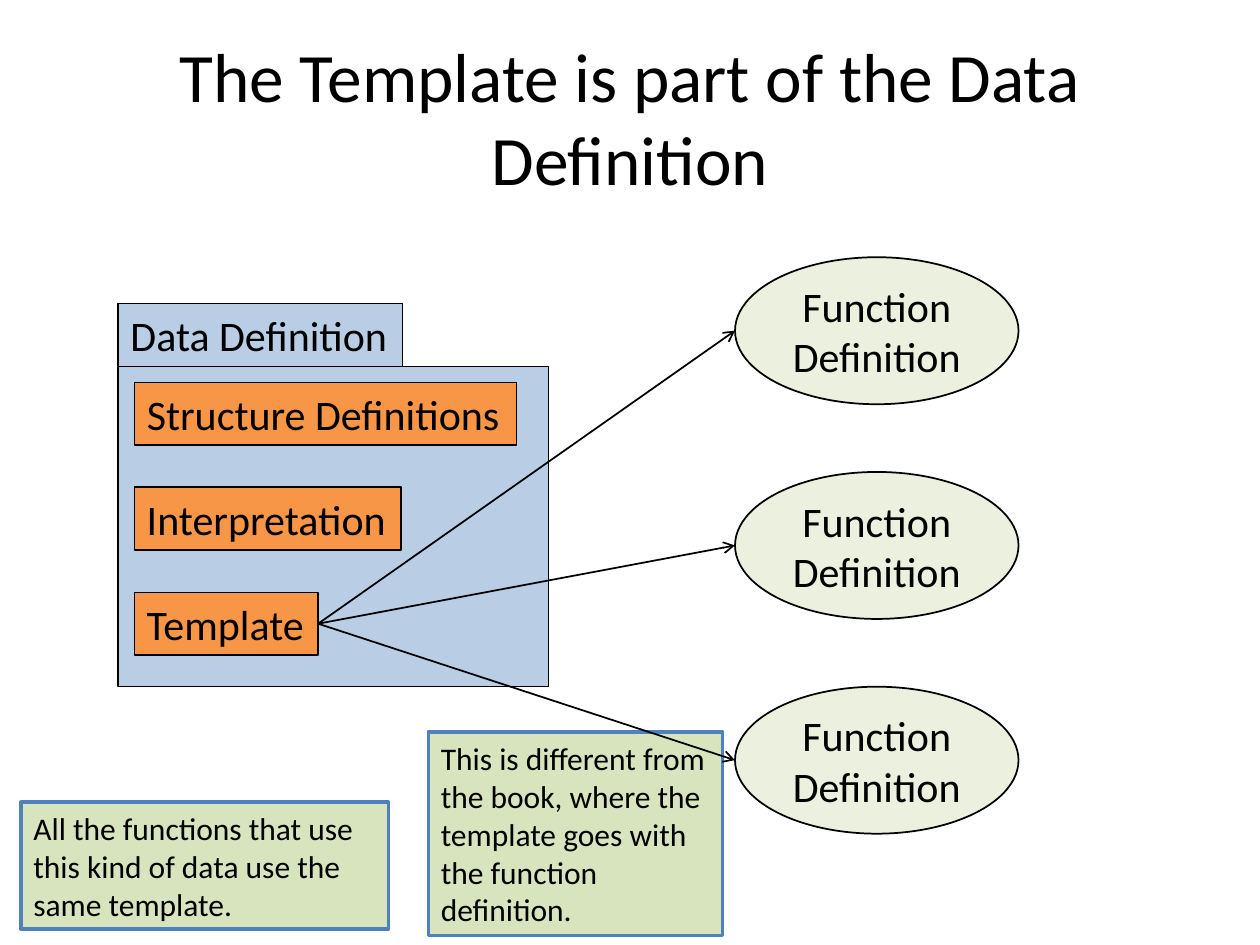
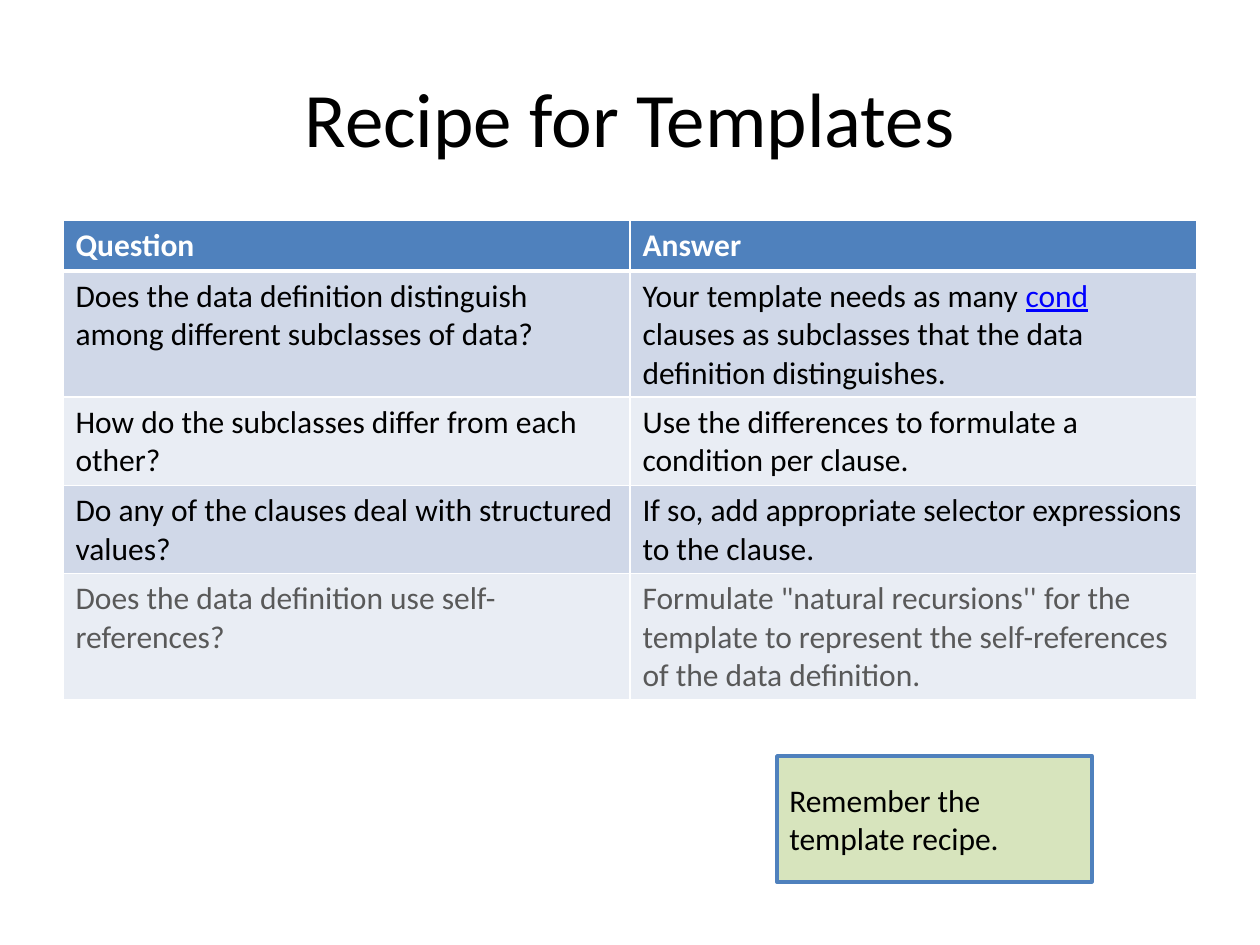
from dataclasses import dataclass

from lxml import etree
from pptx import Presentation
from pptx.dml.color import RGBColor
from pptx.enum.shapes import MSO_CONNECTOR, MSO_SHAPE
from pptx.enum.text import MSO_ANCHOR, MSO_AUTO_SIZE, PP_ALIGN
from pptx.oxml.ns import qn
from pptx.util import Inches, Pt

RECTANGLE, ELLIPSE = MSO_SHAPE.RECTANGLE, MSO_SHAPE.OVAL
STRAIGHT = MSO_CONNECTOR.STRAIGHT
FIT_SHAPE = MSO_AUTO_SIZE.SHAPE_TO_FIT_TEXT
LEFT, CENTER = PP_ALIGN.LEFT, PP_ALIGN.CENTER
TOP, MIDDLE = MSO_ANCHOR.TOP, MSO_ANCHOR.MIDDLE
RIGHT_SIDE = 3

SLIDE_WIDTH, SLIDE_HEIGHT = Inches(10), Inches(7.5)
COLUMNS, ROWS = 120, 90


@dataclass(frozen=True)
class Theme:
    font: str = "Calibri"
    black: str = "000000"
    white: str = "FFFFFF"
    muted: str = "595959"
    keyword: str = "0000FF"
    accent: str = "4F81BD"
    note: str = "D7E4BD"
    function: str = "EBF1DE"
    data: str = "B9CDE5"
    component: str = "F79646"
    bands: tuple = ("D0D8E8", "E9EDF4")
    title_size: float = 44
    long_title_size: float = 39.6
    label_size: float = 24
    body_size: float = 18
    thin: float = 0.75
    normal: float = 1
    thick: float = 2
    header_rule: float = 3


THEME = Theme()


@dataclass(frozen=True)
class Box:
    """A rectangle in grid columns and rows."""
    left: float
    top: float
    width: float
    height: float

    def inner(self, column, row, width, height):
        return Box(self.left + column, self.top + row, width, height)

    def lengths(self):
        column, row = SLIDE_WIDTH / COLUMNS, SLIDE_HEIGHT / ROWS
        return (round(self.left * column), round(self.top * row),
                round(self.width * column), round(self.height * row))


TITLE_BOX = Box(6, 3.6, 108, 15)


def rgb(color):
    return RGBColor.from_string(color)


def write(text_frame, text, size, color=THEME.black, align=LEFT, bold=False):
    """Fill the frame; a piece between bars is shown as a keyword."""
    paragraph = text_frame.paragraphs[0]
    paragraph.alignment = align
    for index, piece in enumerate(text.split("|")):
        run = paragraph.add_run()
        run.text = piece
        is_keyword = index % 2 == 1
        run.font.name = THEME.font
        run.font.size = Pt(size)
        run.font.bold = bold
        run.font.underline = is_keyword
        run.font.color.rgb = rgb(THEME.keyword if is_keyword else color)


def add_title(slide, text, size=THEME.title_size):
    text_frame = slide.shapes.add_textbox(*TITLE_BOX.lengths()).text_frame
    text_frame.word_wrap = True
    text_frame.vertical_anchor = MIDDLE
    write(text_frame, text, size, align=CENTER)


def add_block(slide, box, fill, line=THEME.black, line_width=THEME.normal, kind=RECTANGLE):
    shape = slide.shapes.add_shape(kind, *box.lengths())
    shape.shadow.inherit = False
    shape.fill.solid()
    shape.fill.fore_color.rgb = rgb(fill)
    shape.line.color.rgb = rgb(line)
    shape.line.width = Pt(line_width)
    return shape


def add_note(slide, box, text):
    note = add_block(slide, box, THEME.note, THEME.accent, THEME.thick)
    note.text_frame.vertical_anchor = MIDDLE
    write(note.text_frame, text, THEME.body_size)


def add_label(slide, box, text, fill):
    """Add a one-line box that fits its text."""
    label = add_block(slide, box, fill, line_width=THEME.thin)
    text_frame = label.text_frame
    text_frame.word_wrap = False
    text_frame.auto_size = FIT_SHAPE
    text_frame.vertical_anchor = TOP
    write(text_frame, text, THEME.label_size)
    return label


def add_functions(slide, box, count):
    """Stack equal ellipses from the top to the bottom of the box."""
    height = 14
    pitch = (box.height - height) / (count - 1)
    ellipses = []
    for index in range(count):
        place = box.inner(0, index * pitch, box.width, height)
        ellipse = add_block(slide, place, THEME.function, kind=ELLIPSE)
        ellipse.text_frame.vertical_anchor = MIDDLE
        write(ellipse.text_frame, "Function Definition", THEME.label_size, align=CENTER)
        ellipses.append(ellipse)
    return ellipses


def add_data_definition(slide, box, components):
    """Draw a tabbed panel with its components and return the last one."""
    label_height, pitch = 6, 10
    add_block(slide, box.inner(0, label_height, box.width, box.height - label_height), THEME.data)
    add_label(slide, box.inner(0, 0, 27.1, label_height), "Data Definition", THEME.data)
    for index, (text, width) in enumerate(components):
        place = box.inner(1.55, 7.5 + index * pitch, width, label_height)
        label = add_label(slide, place, text, THEME.component)
    return label


def add_arrow(slide, source, target):
    end = target.left, target.top + target.height // 2
    arrow = slide.shapes.add_connector(STRAIGHT, *end, *end)
    arrow.begin_connect(source, RIGHT_SIDE)
    arrow.line.color.rgb = rgb(THEME.black)
    arrow.line.width = Pt(THEME.normal)
    properties = arrow._element.spPr
    etree.SubElement(properties.find(qn("a:ln")), qn("a:tailEnd"), type="arrow")
    etree.SubElement(properties, qn("a:effectLst"))


def set_borders(cell, bottom_width):
    properties = cell._tc.get_or_add_tcPr()
    widths = {"lnL": THEME.normal, "lnR": THEME.normal, "lnT": THEME.normal, "lnB": bottom_width}
    for side, width in widths.items():
        line = etree.SubElement(properties, qn(f"a:{side}"), w=str(Pt(width)))
        fill = etree.SubElement(line, qn("a:solidFill"))
        etree.SubElement(fill, qn("a:srgbClr"), val=THEME.white)


def add_recipe_table(slide, box, header, recipe):
    """Build the table; each recipe row is (question, answer, lines, colour)."""
    rows = [(*header, 1, THEME.white)] + recipe
    table = slide.shapes.add_table(len(rows), len(header), *box.lengths()).table
    for row_index, (*texts, lines, color) in enumerate(rows):
        is_header = row_index == 0
        table.rows[row_index].height = Inches(0.1 + 0.3 * lines)
        fill = THEME.accent if is_header else THEME.bands[(row_index - 1) % 2]
        for column_index, text in enumerate(texts):
            cell = table.cell(row_index, column_index)
            set_borders(cell, THEME.header_rule if is_header else THEME.normal)
            cell.fill.solid()
            cell.fill.fore_color.rgb = rgb(fill)
            write(cell.text_frame, text, THEME.body_size, color, bold=is_header)


def build_definition_slide(slide):
    add_title(slide, "The Template is part of the Data Definition", THEME.long_title_size)
    functions = add_functions(slide, Box(70, 24.5, 27, 54.9), 3)
    add_note(slide, Box(2, 76.4, 35, 12.1),
             "All the functions that use this kind of data use the same template.")
    add_note(slide, Box(40.8, 69.7, 28, 19.4),
             "This is different from the book, where the template goes with the function definition.")
    template = add_data_definition(
        slide, Box(11.25, 28.9, 41, 36.5),
        [("Structure Definitions", 36.4), ("Interpretation", 25.4), ("Template", 17.5)])
    for function in functions:
        add_arrow(slide, template, function)


def build_recipe_slide(slide):
    add_title(slide, "Recipe for Templates")
    add_recipe_table(slide, Box(6, 21, 108, 45.7), ("Question", "Answer"), [
        ("Does the data definition distinguish among different subclasses of data?",
         "Your template needs as many |cond| clauses as subclasses that the data definition distinguishes.",
         3, THEME.black),
        ("How do the subclasses differ from each other?",
         "Use the differences to formulate a condition per clause.", 2, THEME.black),
        ("Do any of the clauses deal with structured values?",
         "If so, add appropriate selector expressions to the clause.", 2, THEME.black),
        ("Does the data definition use self-references?",
         "Formulate \"natural recursions'' for the template to represent the self-references of the data definition.",
         3, THEME.muted),
    ])
    add_note(slide, Box(74, 72, 30, 12), "Remember the template recipe.")


def main():
    presentation = Presentation()
    presentation.slide_width, presentation.slide_height = SLIDE_WIDTH, SLIDE_HEIGHT
    blank_layout = presentation.slide_layouts[6]
    for build in (build_definition_slide, build_recipe_slide):
        build(presentation.slides.add_slide(blank_layout))
    presentation.save("out.pptx")


if __name__ == "__main__":
    main()
